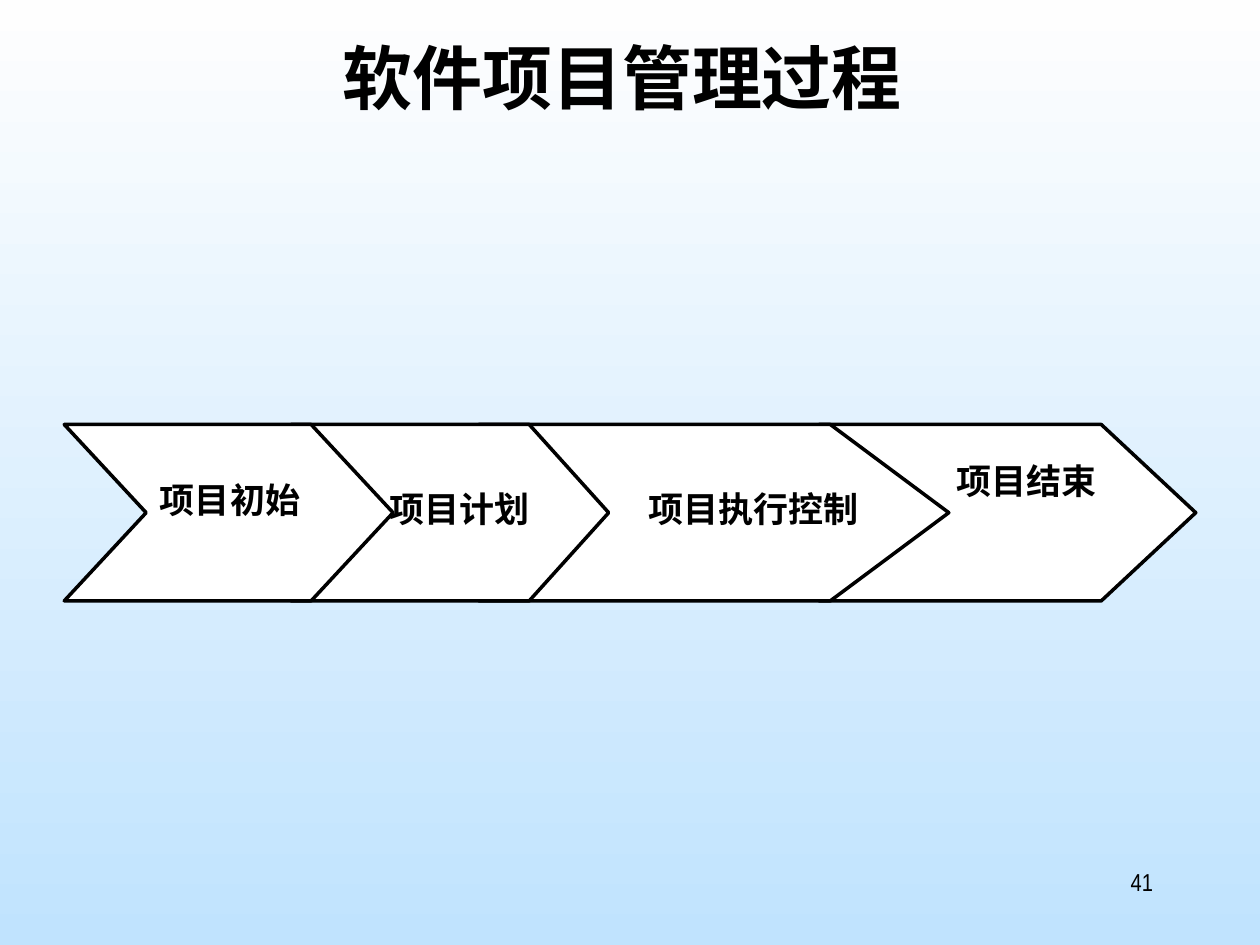
from pptx import Presentation
from pptx.dml.color import RGBColor
from pptx.enum.text import MSO_ANCHOR as Anchor, PP_ALIGN as Align
from pptx.util import Pt

FONT = "Arial Narrow"
BAND_TOP, BAND_HEIGHT = 242.6, 100.8

# Label, left, shoulder, tip, notch depth, extra left inset, extra bottom inset
# From back to front: each phase overlaps the one after it
PHASES = [
    ("项目结束", 468, 629.3, 683.3, 53.3, 22, 37),
    ("项目执行控制", 273.6, 474.5, 542.2, 67, 45.5, 5),
    ("项目计划", 166.3, 302.4, 347.8, 45.4, 11, 5),
    ("项目初始", 36.7, 177.8, 224.6, 46.8, 1.5, 15),
]


def color(hex_code):
    return RGBColor.from_string(hex_code)


def write(shape, text, size, bold, align, anchor, extra_left=0, extra_right=0, extra_bottom=0):
    frame = shape.text_frame
    frame.text = text
    frame.word_wrap = True
    frame.vertical_anchor = anchor
    frame.margin_left, frame.margin_right = Pt(7.2 + extra_left), Pt(7.2 + extra_right)
    frame.margin_top, frame.margin_bottom = Pt(3.6), Pt(3.6 + extra_bottom)
    line = frame.paragraphs[0]
    line.alignment = align
    font = line.runs[0].font
    font.name, font.size, font.bold = FONT, Pt(size), bold
    font.color.rgb = color("000000")


def paint_background(slide):
    fill = slide.background.fill
    fill.gradient()
    fill.gradient_angle = 270
    for stop, shade, position in zip(fill.gradient_stops, ("FEFEFE", "C0E3FE"), (0, 1)):
        stop.color.rgb = color(shade)
        stop.position = position


def add_title(slide, text):
    title = slide.shapes.title
    title.left, title.top, title.width, title.height = Pt(36), Pt(21.6), Pt(648), Pt(90)
    write(title, text, 40, True, Align.CENTER, Anchor.TOP, extra_right=9)
    title.text_frame.paragraphs[0].line_spacing = 0.9


def add_phase(process, label, left, shoulder, tip, notch, extra_left, extra_bottom):
    middle, bottom = BAND_TOP + BAND_HEIGHT / 2, BAND_TOP + BAND_HEIGHT
    outline = [(shoulder, BAND_TOP), (tip, middle), (shoulder, bottom),
               (left, bottom), (left + notch, middle)]
    builder = process.shapes.build_freeform(Pt(left), Pt(BAND_TOP))
    builder.add_line_segments([(Pt(x), Pt(y)) for x, y in outline], close=True)
    phase = builder.convert_to_shape()
    phase.shadow.inherit = False
    phase.fill.solid()
    phase.fill.fore_color.rgb = color("FFFFFF")
    phase.line.color.rgb = color("000000")
    phase.line.width = Pt(2)
    write(phase, label, 20, True, Align.CENTER, Anchor.MIDDLE,
          extra_left=extra_left, extra_bottom=extra_bottom)


def add_page_number(slide, number):
    box = slide.shapes.add_textbox(Pt(516.2), Pt(491.8), Pt(149.8), Pt(36))
    write(box, number, 14, False, Align.RIGHT, Anchor.TOP)


def main():
    deck = Presentation()
    deck.slide_width, deck.slide_height = Pt(720), Pt(540)
    slide = deck.slides.add_slide(deck.slide_layouts[5])
    paint_background(slide)
    add_title(slide, "软件项目管理过程")

    # Chain of project phases
    process = slide.shapes.add_group_shape()
    for phase in PHASES:
        add_phase(process, *phase)

    add_page_number(slide, "41")
    deck.save("out.pptx")


if __name__ == "__main__":
    main()
